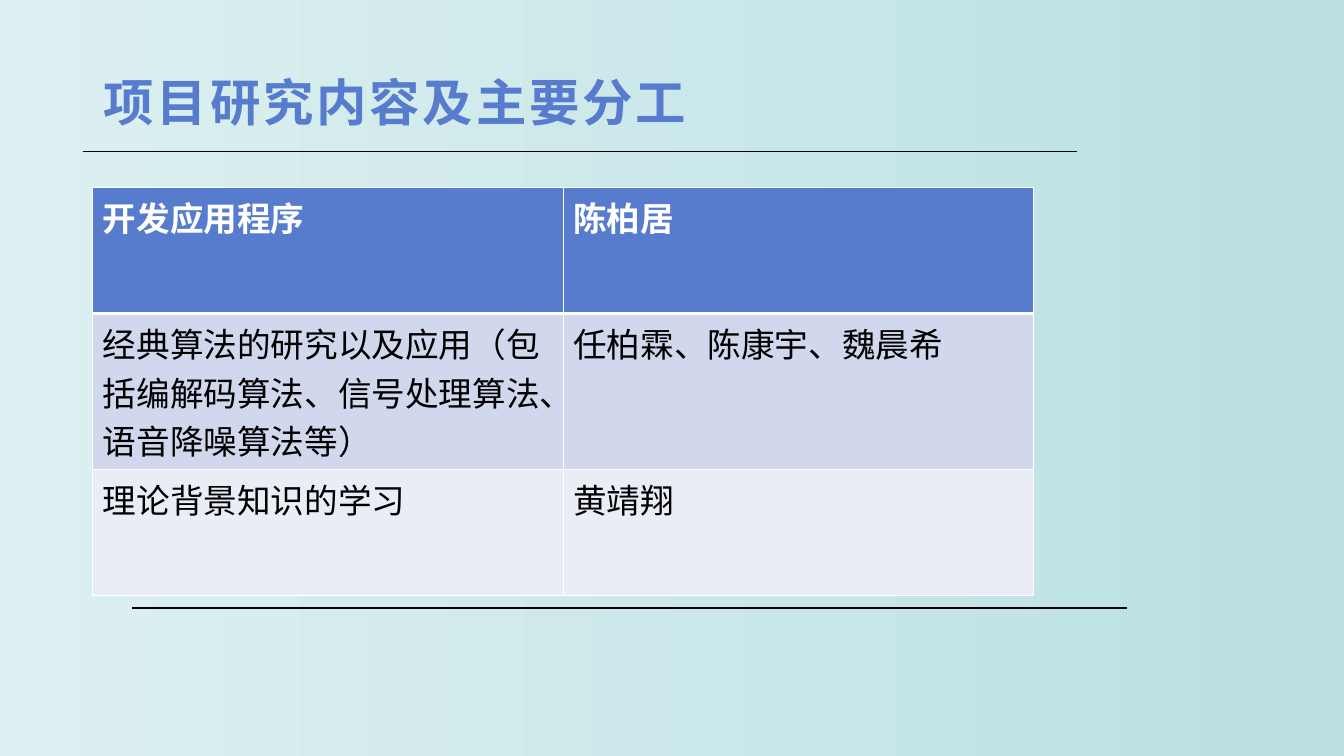
from lxml import etree
from pptx import Presentation
from pptx import util as u
from pptx.dml.color import RGBColor
from pptx.enum import shapes, text
from pptx.oxml import ns

W, H = u.Inches(13.33), u.Inches(7.5)
FONT = "Arial"
COLORS = {
    "bg_left": "DDF0F1",
    "bg_right": "BAE0E2",
    "accent": "577CCE",
    "band_dark": "D1D7ED",
    "band_light": "EAECF6",
    "white": "FFFFFF",
    "black": "000000",
}
TITLE = "项目研究内容及主要分工"
TASKS = [
    ("开发应用程序", "陈柏居"),
    ("经典算法的研究以及应用（包括编解码算法、信号处理算法、语音降噪算法等）", "任柏霖、陈康宇、魏晨希"),
    ("理论背景知识的学习", "黄靖翔"),
]
ROW_FILLS = ["accent", "band_dark", "band_light"]


def rgb(name):
    return RGBColor.from_string(COLORS[name])


def across(share):
    return int(W * share)


def down(share):
    return int(H * share)


def format_run(r, size, color, bold):
    r.font.name = FONT
    r.font.size = u.Pt(size)
    r.font.bold = bold
    r.font.color.rgb = rgb(color)


def set_background(s):
    fill = s.background.fill
    fill.gradient()
    fill.gradient_angle = 0
    for stop, color in zip(fill.gradient_stops, ("bg_left", "bg_right")):
        stop.color.rgb = rgb(color)


def set_title(s):
    sp = s.shapes.title
    sp.left, sp.top = across(0.069), down(0.089)
    sp.width, sp.height = across(0.857), down(0.159)
    tf = sp.text_frame
    tf.text = TITLE
    tf.word_wrap = True
    tf.auto_size = text.MSO_AUTO_SIZE.NONE
    tf.vertical_anchor = text.MSO_ANCHOR.TOP
    tf.margin_left, tf.margin_right = u.Inches(0.11), u.Inches(0.08)
    tf.margin_top = tf.margin_bottom = u.Inches(0.04)
    p = tf.paragraphs[0]
    p.alignment = text.PP_ALIGN.LEFT
    r = p.runs[0]
    format_run(r, 36, "accent", True)
    r.font._element.set("spc", "200")


def set_borders(cell, widths):
    tc_pr = cell._tc.get_or_add_tcPr()
    for side, width in widths.items():
        ln = etree.SubElement(tc_pr, ns.qn(f"a:ln{side}"), w=str(u.Pt(width)))
        fill = etree.SubElement(ln, ns.qn("a:solidFill"))
        etree.SubElement(fill, ns.qn("a:srgbClr"), val=COLORS["white"])


def add_task_table(s):
    rows, cols = len(TASKS), len(TASKS[0])
    frame = s.shapes.add_table(rows, cols, across(0.069), down(0.248),
                               across(0.7), down(0.5))
    for i, task in enumerate(TASKS):
        header = i == 0
        for j, words in enumerate(task):
            cell = frame.table.cell(i, j)
            set_borders(cell, {"L": 1, "R": 1, "T": 3 if i == 1 else 1,
                               "B": 3 if header else 1})
            cell.fill.solid()
            cell.fill.fore_color.rgb = rgb(ROW_FILLS[i])
            cell.text_frame.text = words
            r = cell.text_frame.paragraphs[0].runs[0]
            format_run(r, 24, "white" if header else "black", header)


def add_rule(s, left, top):
    x, y = across(left), down(top)
    line = s.shapes.add_connector(shapes.MSO_CONNECTOR.STRAIGHT,
                                  x, y, x + across(0.74), y)
    line.line.color.rgb = rgb("black")
    line.line.width = u.Pt(1)
    etree.SubElement(line._element.spPr, ns.qn("a:effectLst"))


def main():
    prs = Presentation()
    prs.slide_width, prs.slide_height = W, H
    s = prs.slides.add_slide(prs.slide_layouts[5])
    set_background(s)
    set_title(s)
    add_task_table(s)
    for left, top in ((0.0615, 0.2), (0.0983, 0.804)):
        add_rule(s, left, top)
    prs.save("out.pptx")


if __name__ == "__main__":
    main()
